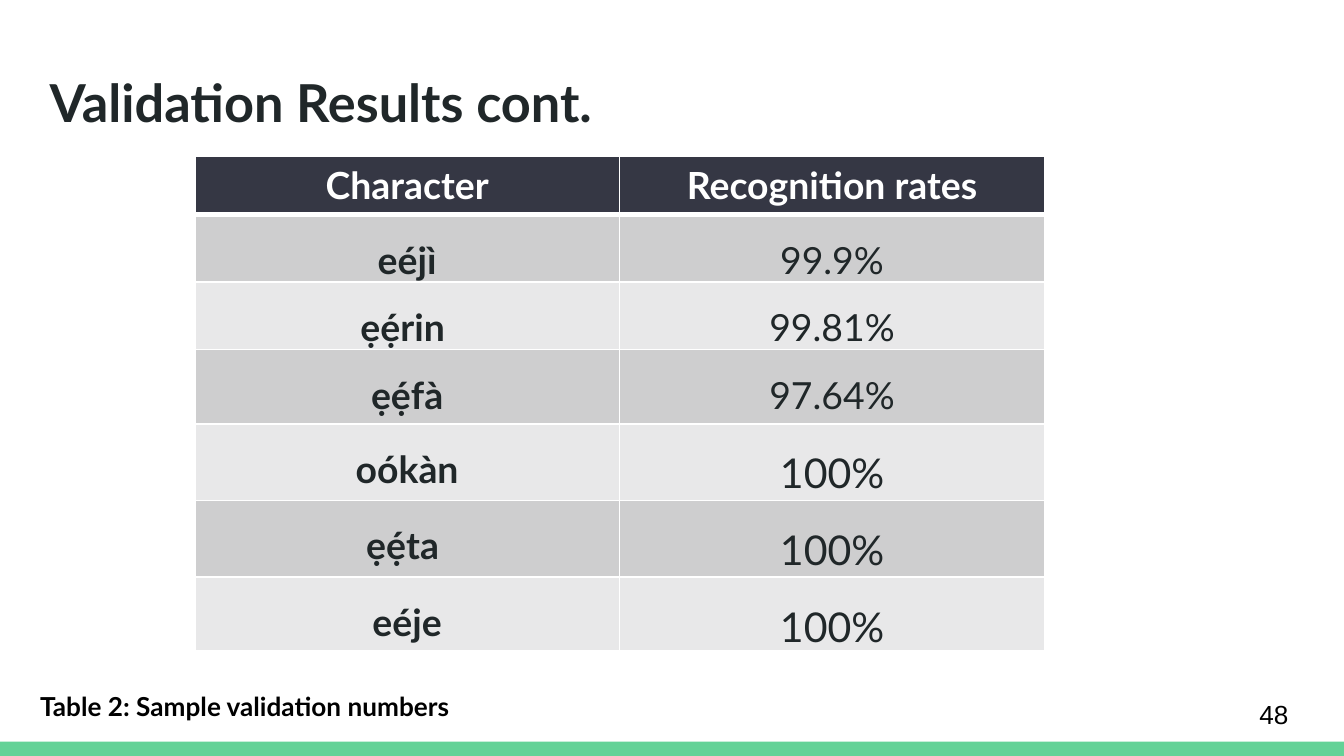
from dataclasses import dataclass

from lxml.etree import SubElement
from pptx import Presentation
from pptx.dml.color import RGBColor as Rgb
from pptx.enum.shapes import MSO_SHAPE as Shape
from pptx.enum.text import MSO_ANCHOR as Anchor, PP_ALIGN as Align
from pptx.oxml.ns import qn
from pptx.util import Cm, Pt

COLOURS = {
    "white": "FFFFFF",
    "black": "000000",
    "ink": "202729",
    "header": "353744",
    "odd": "CECECF",
    "even": "E8E8E9",
    "green": "63D297",
}


@dataclass
class Label:
    text: str
    left: float
    top: float
    width: float
    height: float
    size: int
    colour: str = "black"
    font: str = "Lato"
    bold: bool = True
    anchor: Anchor = Anchor.MIDDLE


@dataclass
class Result:
    character: str
    rate: str
    height: float
    rate_size: int = 20


LABELS = [
    Label("Validation Results cont.", 0.69, 1.07, 23.67, 1.6, 28, "ink", anchor=Anchor.TOP),
    Label("48", 23.55, 12.95, 1.52, 1.09, 14, font="Arial", bold=False),
    Label("Table 2: Sample validation numbers", 0.51, 12.95, 17.27, 0.79, 14),
]
HEADINGS = ("Character", "Recognition rates")
HEADER_HEIGHT = 1.09
COLUMN_WIDTH = 8.03
RESULTS = [
    Result("eéjì", "99.9%", 1.27),
    Result("ẹẹ́rin ", "99.81%", 1.27),
    Result("ẹẹ́fà", "97.64%", 1.4),
    Result("oókàn", "100%", 1.45, 22),
    Result("ẹẹ́ta ", "100%", 1.45, 22),
    Result("eéje", "100%", 1.4, 22),
]
BODY_MARGINS = {
    "margin_left": Cm(0.18),
    "margin_right": Cm(0.18),
    "margin_top": 0,
    "margin_bottom": 0,
}
BODY_SPACING = {"line_spacing": 1.5, "space_after": Pt(8)}


def set_all(target, values: dict) -> None:
    for name, value in values.items():
        setattr(target, name, value)


def colour_of(name: str) -> Rgb:
    return Rgb.from_string(COLOURS[name])


def write(para, text: str, size: int, colour: str, font: str, bold: bool) -> None:
    span = para.add_run()
    span.text = text
    set_all(span.font, {"name": font, "size": Pt(size), "bold": bold})
    span.font.color.rgb = colour_of(colour)


def draw_label(page, label: Label) -> None:
    box = page.shapes.add_textbox(
        Cm(label.left), Cm(label.top), Cm(label.width), Cm(label.height))
    frame = box.text_frame
    margins = {f"margin_{side}": Cm(0.25) for side in ("left", "top", "right", "bottom")}
    set_all(frame, {"word_wrap": True, "vertical_anchor": label.anchor, **margins})
    write(frame.paragraphs[0], label.text, label.size, label.colour, label.font, label.bold)


def add_borders(cell, bottom: int) -> None:
    """White lines on all four sides; must come before the cell's fill."""
    properties = cell._tc.get_or_add_tcPr()
    for side, width in {"L": 1, "R": 1, "T": 1, "B": bottom}.items():
        line = SubElement(properties, qn(f"a:ln{side}"), w=str(Pt(width)))
        fill = SubElement(line, qn("a:solidFill"))
        SubElement(fill, qn("a:srgbClr"), val=COLOURS["white"])


def fill_cell(cell, text: str, size: int, colour: str, fill: str, bold: bool,
              bottom: int = 1) -> None:
    add_borders(cell, bottom)
    cell.fill.solid()
    cell.fill.fore_color.rgb = colour_of(fill)
    para = cell.text_frame.paragraphs[0]
    para.alignment = Align.CENTER
    write(para, text, size, colour, "Lato", bold)


def draw_table(page) -> None:
    heights = [HEADER_HEIGHT] + [result.height for result in RESULTS]
    table = page.shapes.add_table(
        len(heights), len(HEADINGS), Cm(3.68), Cm(2.95),
        Cm(COLUMN_WIDTH * len(HEADINGS)), Cm(sum(heights))).table
    for column in table.columns:
        column.width = Cm(COLUMN_WIDTH)
    for row, height in zip(table.rows, heights):
        row.height = Cm(height)

    # Header row
    for index, heading in enumerate(HEADINGS):
        fill_cell(table.cell(0, index), heading, 20, "white", "header", True, bottom=3)

    # Banded result rows
    for index, result in enumerate(RESULTS, start=1):
        band = "odd" if index % 2 else "even"
        name_cell, rate_cell = table.rows[index].cells
        fill_cell(name_cell, result.character, 20, "ink", band, True)
        fill_cell(rate_cell, result.rate, result.rate_size, "ink", band, False)
        for cell in (name_cell, rate_cell):
            set_all(cell, BODY_MARGINS)
            set_all(cell.text_frame.paragraphs[0], BODY_SPACING)


def main() -> None:
    deck = Presentation()
    set_all(deck, {"slide_width": Cm(25.4), "slide_height": Cm(14.29)})
    page = deck.slides.add_slide(deck.slide_layouts[6])

    # Footer band
    band = page.shapes.add_shape(Shape.RECTANGLE, 0, Cm(14.02), deck.slide_width, Cm(0.27))
    band.shadow.inherit = False
    band.fill.solid()
    band.fill.fore_color.rgb = colour_of("green")
    band.line.fill.background()

    # Results, then title, page number and caption
    draw_table(page)
    for label in LABELS:
        draw_label(page, label)

    deck.save("out.pptx")


if __name__ == "__main__":
    main()
